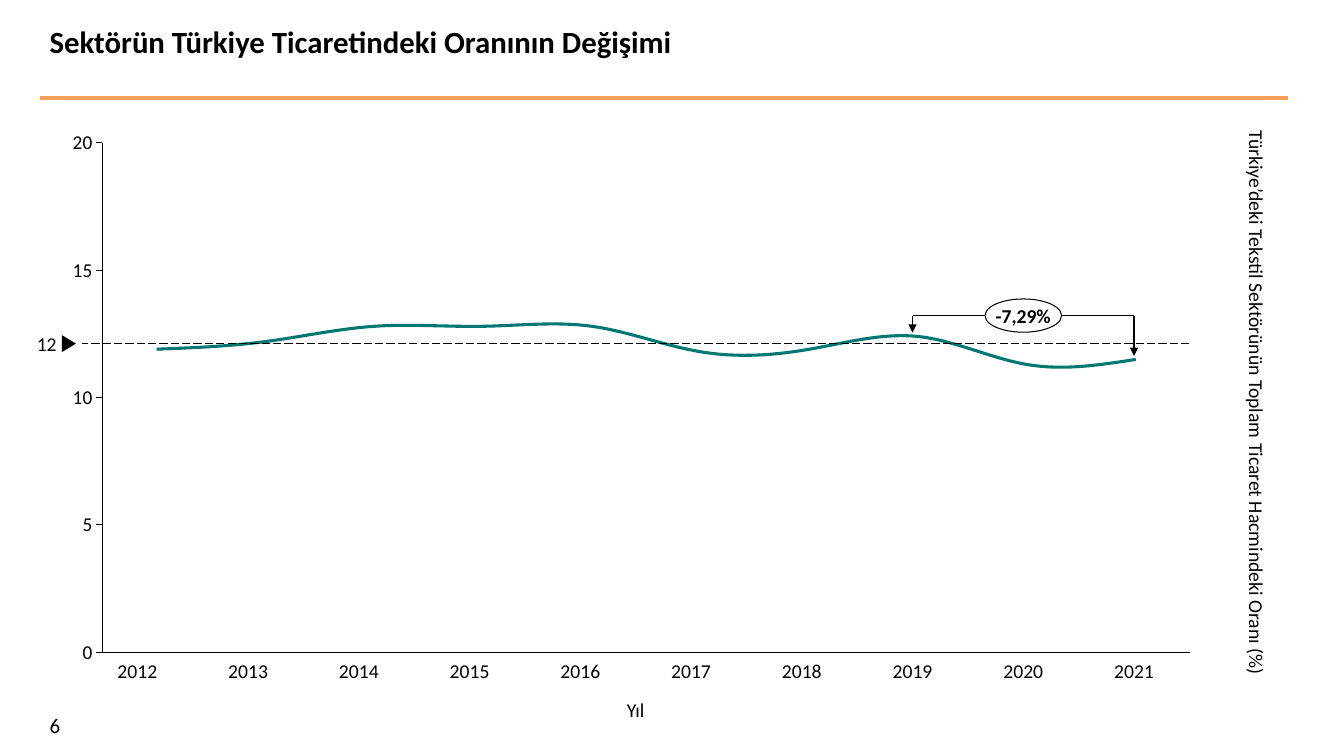
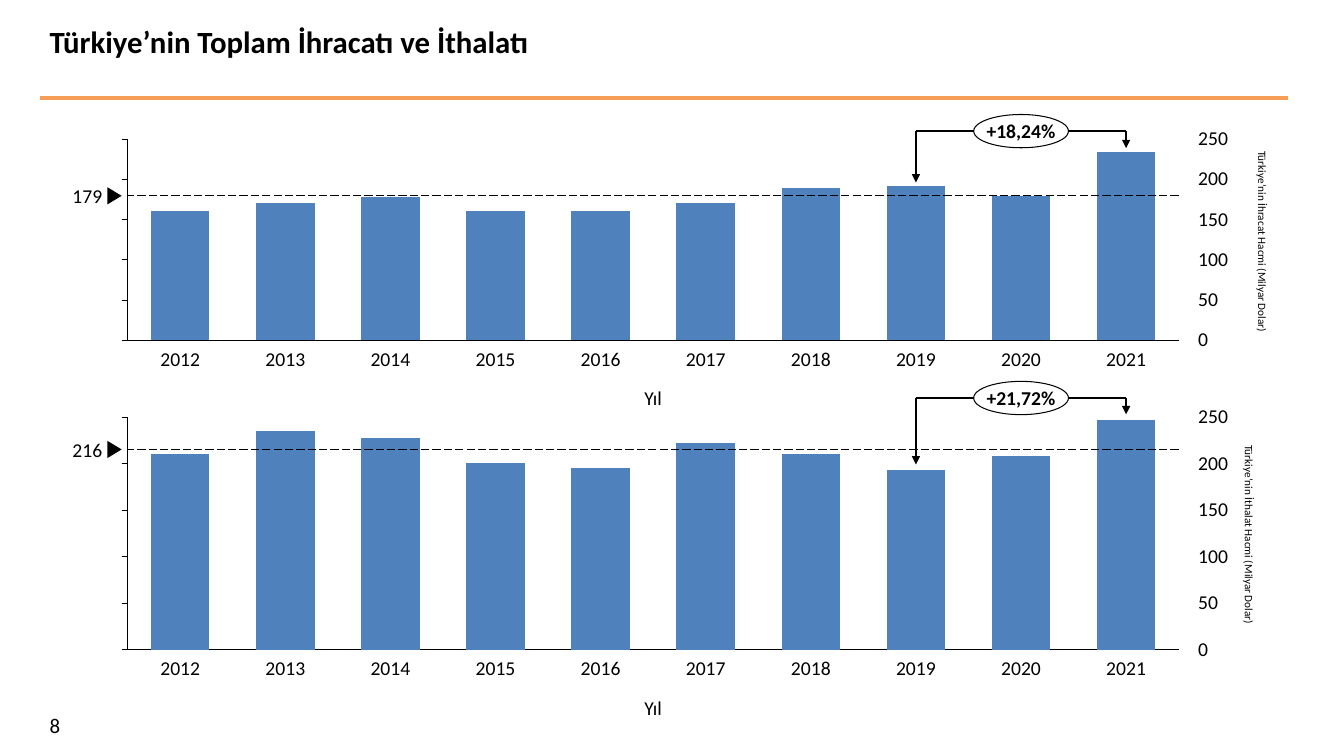
from lxml.etree import SubElement
from pptx import Presentation
from pptx.chart.data import CategoryChartData
from pptx.dml.color import RGBColor
from pptx.enum.chart import XL_AXIS_CROSSES, XL_CHART_TYPE, XL_TICK_LABEL_POSITION, XL_TICK_MARK
from pptx.enum.dml import MSO_LINE
from pptx.enum.shapes import MSO_CONNECTOR, MSO_SHAPE
from pptx.enum.text import MSO_ANCHOR, PP_ALIGN
from pptx.oxml import parse_xml
from pptx.oxml.ns import nsdecls, qn
from pptx.util import Inches, Pt

FONT = "Calibri"
BLACK, WHITE, ORANGE, TEAL, BLUE = "000000", "FFFFFF", "F89D56", "007770", "4F81BD"
LEFT, MID, RIGHT = PP_ALIGN.LEFT, PP_ALIGN.CENTER, PP_ALIGN.RIGHT
YEARS = range(2012, 2022)


def color(code):
    return RGBColor.from_string(code)


class Deck:
    """Style and current slide; lengths are percent of slide width or height."""

    def __init__(self):
        self.show = Presentation()
        self.show.slide_width = Inches(13.33)
        self.show.slide_height = Inches(7.5)

    def across(self, share):
        return round(self.show.slide_width * share / 100)

    def down(self, share):
        return round(self.show.slide_height * share / 100)

    def frame(self, box):
        left, top, width, height = box
        return self.across(left), self.down(top), self.across(width), self.down(height)

    def page(self, title, number):
        """Start a slide with its rule, page number and title."""
        self.slide = self.show.slides.add_slide(self.show.slide_layouts[6])
        self.line((2.95, 12.95), (95.8, 12.95), 3, ORANGE)
        inset = (0.1, 0.05)
        self.text((2.95, 93.6, 11.7, 3.6), number, 14.9, inset=inset, wrap=True)
        self.text((2.95, 2.4, 92.85, 8.5), title, 22, bold=True, inset=inset, wrap=True)

    def label(self, shape, words, size=14, align=LEFT, anchor=MSO_ANCHOR.TOP,
              bold=False, inset=(0, 0), wrap=False, space=None):
        frame = shape.text_frame
        frame.text = str(words)
        frame.word_wrap = wrap
        frame.vertical_anchor = anchor
        frame.margin_left = frame.margin_right = Inches(inset[0])
        frame.margin_top = frame.margin_bottom = Inches(inset[1])
        para = frame.paragraphs[0]
        para.alignment = align
        para.line_spacing = space
        font = para.runs[0].font
        font.name, font.size, font.bold = FONT, Pt(size), bold
        font.color.rgb = color(BLACK)

    def text(self, box, words, size=14, **style):
        shape = self.slide.shapes.add_textbox(*self.frame(box))
        self.label(shape, words, size, **style)
        return shape

    def turned(self, box, words, size):
        """Text that reads downwards."""
        shape = self.text(box, words, size, align=MID, anchor=MSO_ANCHOR.BOTTOM)
        shape.text_frame._txBody.bodyPr.set("vert", "eaVert")

    def line(self, start, end, width=1, tint=BLACK, dash=None, arrow=False):
        link = self.slide.shapes.add_connector(
            MSO_CONNECTOR.STRAIGHT, self.across(start[0]), self.down(start[1]),
            self.across(end[0]), self.down(end[1]))
        link.line.color.rgb = color(tint)
        link.line.width = Pt(width)
        if dash:
            link.line.dash_style = dash
        props = link._element.spPr
        if arrow:
            SubElement(props.find(qn("a:ln")), qn("a:tailEnd"), type="triangle")
        SubElement(props, qn("a:effectLst"))

    def shape(self, kind, box, fill, edge=None):
        shape = self.slide.shapes.add_shape(kind, *self.frame(box))
        shape.shadow.inherit = False
        shape.fill.solid()
        shape.fill.fore_color.rgb = color(fill)
        if edge:
            shape.line.color.rgb = color(edge)
            shape.line.width = Pt(0.75)
        else:
            shape.line.fill.background()
        return shape

    def axis(self, axis, tick, labels):
        axis.has_major_gridlines = False
        axis.major_tick_mark = tick
        axis.minor_tick_mark = XL_TICK_MARK.NONE
        axis.tick_label_position = labels
        axis.format.line.color.rgb = color(BLACK)
        axis.format.line.width = Pt(0.75)
        font = axis.tick_labels.font
        font.name, font.size = FONT, Pt(14)
        font.color.rgb = color(BLACK)

    def chart(self, kind, plot, pads, values, top, step, labels):
        """Chart whose inner plot fills the box; pads are left, top, right, bottom."""
        left, head, width, height = plot
        west, north, east, south = pads
        wide, high = west + width + east, north + height + south
        data = CategoryChartData()
        data.categories = [str(n + 1) for n in range(len(values))]
        data.add_series("Series 1", values)
        box = self.frame((left - west, head - north, wide, high))
        chart = self.slide.shapes.add_chart(kind, *box, data).chart
        chart.has_legend = chart.has_title = False
        chart.font.name, chart.font.size = FONT, Pt(10)
        chart.font.color.rgb = color(BLACK)
        none = XL_TICK_LABEL_POSITION.NONE
        self.axis(chart.category_axis, XL_TICK_MARK.NONE, none)
        chart.category_axis.crosses = XL_AXIS_CROSSES.MAXIMUM
        scale = chart.value_axis
        self.axis(scale, XL_TICK_MARK.OUTSIDE,
                  XL_TICK_LABEL_POSITION.NEXT_TO_AXIS if labels else none)
        scale.minimum_scale, scale.maximum_scale, scale.major_unit = 0, top, step
        scale.tick_labels.number_format = '#,##0;"-"#,##0'
        scale.tick_labels.number_format_is_linked = False
        area = chart._chartSpace.chart.plotArea
        for old in area.findall(qn("c:layout")):
            area.remove(old)
        parts = {"x": west / wide, "y": north / high, "w": width / wide, "h": height / high}
        modes = '<c:layoutTarget val="inner"/><c:xMode val="edge"/><c:yMode val="edge"/>'
        sizes = "".join(f'<c:{key} val="{part:.4f}"/>' for key, part in parts.items())
        area.insert(0, parse_xml(
            f'<c:layout {nsdecls("c")}><c:manualLayout>{modes}{sizes}'
            '</c:manualLayout></c:layout>'))
        chart.plots[0].vary_by_categories = False
        return chart.plots[0]

    def curve(self, plot, values):
        body = self.chart(XL_CHART_TYPE.LINE, plot, (0.7, 3, 4, 3), values, 20, 5, True)
        series = body.series[0]
        series.smooth = True
        series.format.line.color.rgb = color(TEAL)
        series.format.line.width = Pt(2.25)

    def bars(self, plot, values, top):
        body = self.chart(XL_CHART_TYPE.COLUMN_STACKED, plot, (0.7, 1.2, 0.7, 1.2),
                          values, top, top / 5, False)
        body.gap_width, body.overlap = 80, 100
        fill = body.series[0].format.fill
        fill.solid()
        fill.fore_color.rgb = color(BLUE)
        left, head, width, height = plot
        for n in range(6):
            level = head + height * (1 - n / 5)
            self.text((left + width + 1.45, level - 1.4, 2.25, 2.8), n * 50,
                      anchor=MSO_ANCHOR.MIDDLE, space=0.9)

    def notes(self, plot, mean, level, bend, tips, change, wide):
        """Year labels, dashed mean and the bracket from 2019 to 2021."""
        left, head, width, height = plot
        base, step = head + height, width / len(YEARS)

        def mid(year):
            return left + step * (year - YEARS[0] + 0.5)

        first, last = mid(2019), mid(2021)
        for x, tip in zip((first, last), tips):
            self.line((x, bend), (x, tip), arrow=True)
        self.line((first, bend), (last, bend))
        mark = self.shape(MSO_SHAPE.RIGHT_ARROW, (left - 1.5, level - 1.13, 1.05, 2.26), BLACK)
        mark.adjustments[0] = mark.adjustments[1] = 1
        self.line((left + width, level), (left, level), 0.75, dash=MSO_LINE.LONG_DASH)
        for year in YEARS:
            self.text((mid(year) - 1.54, base + 0.85, 3.08, 3.07), year, align=MID)
        self.text((left - 4.13, level - 1.53, 2.25, 3.06), mean,
                  align=RIGHT, anchor=MSO_ANCHOR.MIDDLE)
        self.text((left + width / 2 - 0.68, base + 6.05, 1.36, 3.07), "Yıl", align=MID)
        oval = self.shape(MSO_SHAPE.OVAL, (mid(2020) - wide / 2, bend - 2.2, wide, 4.4),
                          WHITE, BLACK)
        self.label(oval, change, align=MID, anchor=MSO_ANCHOR.MIDDLE, bold=True)


def main():
    deck = Deck()

    deck.page("Sektörün Türkiye Ticaretindeki Oranının Değişimi", 6)
    plot = (6.1, 18.9, 82.4, 67.4)
    deck.curve(plot, (11.9, 12.2, 12.8, 12.8, 12.8, 11.8, 11.9, 12.4, 11.3, 11.5))
    deck.notes(plot, 12, 45.45, 41.75, (44, 47.1), "-7,29%", 5.7)
    deck.turned((92.65, 17.3, 1.7, 70.7),
                "Türkiye’deki Tekstil Sektörünün Toplam Ticaret Hacmindeki Oranı (%)", 14)

    deck.page("Türkiye’nin Toplam İhracatı ve İthalatı", 8)
    plot = (9.5, 18.4, 78.2, 26.65)
    deck.bars(plot, (69, 73, 76, 69, 69, 73, 81, 82, 77, 100), 107)
    deck.notes(plot, 179, 25.9, 17.35, (24.15, 19.6), "+18,24%", 7.05)
    deck.turned((93.45, 20, 1, 23.4), "Türkiye’nin İhracat Hacmi (Milyar Dolar)", 8)
    plot = (9.5, 55.2, 78.2, 30.75)
    deck.bars(plot, (85, 95, 92, 81, 79, 90, 85, 78, 84, 100), 101)
    deck.notes(plot, 216, 59.45, 52.65, (61.45, 54.8), "+21,72%", 7.05)
    deck.turned((92.45, 58.9, 1, 23.2), "Türkiye’nin İthalat Hacmi (Milyar Dolar)", 8)

    deck.show.save("out.pptx")


if __name__ == "__main__":
    main()
